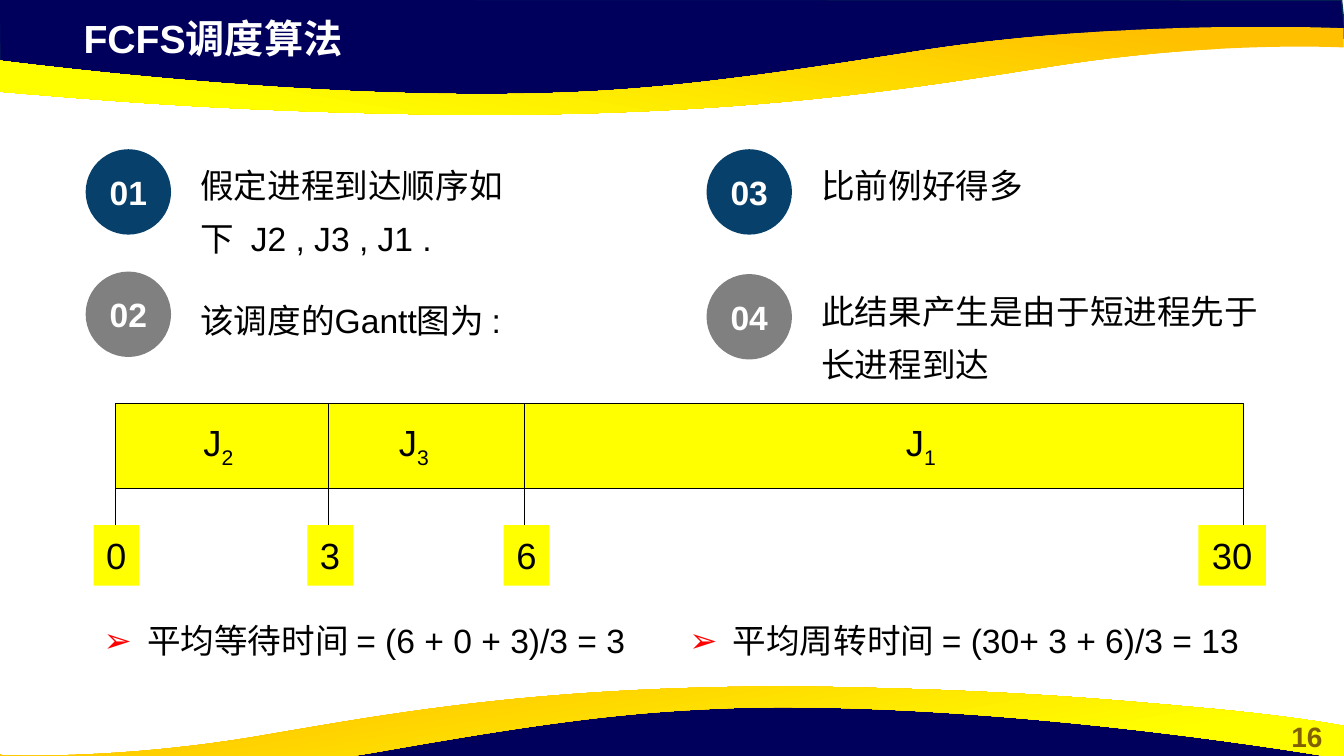
from lxml.etree import SubElement
from pptx import Presentation
from pptx.dml.color import RGBColor
from pptx.enum.shapes import MSO_CONNECTOR, MSO_SHAPE
from pptx.enum.text import MSO_ANCHOR, PP_ALIGN
from pptx.oxml.ns import qn
from pptx.util import Pt

COLORS = {
    "navy": "00005C", "band edge": "05304F", "orange": "FFC000", "yellow": "FFFF00",
    "blue": "07416B", "gray": "808080", "white": "FFFFFF", "black": "000000",
    "red": "FF0000", "page": "806000",
}

BANDS = [
    [(-0.7, -0.7), (0, 50.4), (211, 73.4), (402.5, 72), (572.4, 63.4),
     (731.5, 36), (891.4, 23.8), (961.2, 27.4), (958.3, 0)],
    [(959.8, 571.7), (959, 521.3), (748.8, 497.5), (556.6, 499), (387.4, 508.3),
     (228.2, 535), (68.4, 547.2), (-2.2, 544.3), (0.7, 571)],
]
WAVES = [
    (260, (-95.8, 18.7, 1055.6, 63.4),
     [(347.8, 82.1), (319, 82.1, 288.7, 81.4, 256.3, 80.6),
      (148.3, 77.8, 79.2, 72, 25.9, 67.7), (-63.4, 60.5, -93.6, 54, -95.8, 54),
      (-95.8, 30.2, -95.8, 30.2, -95.8, 30.2), (-95.8, 30.2, 157, 70.6, 372.2, 67),
      (450.7, 65.5, 509.8, 59.8, 658.8, 36), (807.1, 13, 959.8, 20.2, 959.8, 20.2),
      (959.8, 23), (959.8, 33.8), (957.6, 33.8), (939.6, 33.1, 860.4, 31, 759.6, 46.1),
      (661, 61.2, 548.6, 81.4, 347.8, 82.1)]),
    (280, (-0.7, 490.3, 960.5, 63.4),
     [(555.8, 490.3), (582.5, 490.3, 609.8, 491, 639.4, 491.8),
      (738, 494.6, 800.6, 500.4, 848.9, 504.7), (930.2, 511.9, 957.6, 518.4, 959.8, 518.4),
      (959.8, 542.2, 959.8, 542.2, 959.8, 542.2), (959.8, 542.2, 730.1, 501.8, 534.2, 505.4),
      (462.2, 507.6, 408.2, 512.6, 273.6, 536.4), (138.2, 560.2, -0.7, 553, -0.7, 553),
      (-0.7, 550), (-0.7, 538.6), (1.4, 539.3), (18, 540, 90, 541.4, 181.4, 526.3),
      (270.7, 511.2, 373.7, 491, 555.8, 490.3)]),
]
TITLE = ("FCFS调度算法", (52.6, 6.5, 553, 41))
PAGE_NUMBER = ("16", (907.2, 510.5, 52.6, 31.7))
ARRIVAL_ORDER = [(" ", {"spc": "670"}), ("J2 , J3 , J1 .", {})]
POINTS = [
    ("01", "blue", (61.2, 106.6), "假定进程到达顺序如下", ARRIVAL_ORDER, (136, 104.8, 244, 79.2)),
    ("02", "gray", (61.2, 194), "该调度的Gantt图为 :", [], (136, 201.6, 404, 61.2)),
    ("03", "blue", (504.7, 106.6), "比前例好得多", [], (579.6, 104.8, 244, 79.2)),
    ("04", "gray", (504.7, 195.8), "此结果产生是由于短进程先于长进程到达", [],
     (579.6, 195.1, 345, 61.2)),
]
AVERAGES = [
    ("平均等待时间 = (6 + 0 + 3)/3 = 3", (67, 442.8, 433.4, 35.3)),
    ("平均周转时间 = (30+ 3 + 6)/3 = 13", (485.3, 442.8, 433.4, 43.2)),
]
JOBS = [("1", 657.7), ("3", 295.6), ("2", 155.9)]
TICKS = [(888.5, 348.5, 384.5), (82.8, 348.5, 384.5), (374.4, 288, 357.8),
         (234.7, 288, 357.8), (374.4, 357.8, 384.5), (234.7, 357.8, 384.5)]
TIMES = [("6", 376, 32.4), ("3", 235.8, 32.4), ("30", 880.2, 48.2), ("0", 83, 32.4)]
BAR = (82.8, 288, 805.7, 61)
JOB_TOP, JOB_WIDTH, TIME_TOP, LABEL_HEIGHT, BADGE = 295.9, 41, 375.1, 43.2, 61


def color(name):
    return RGBColor.from_string(COLORS[name])


def style(shape, fill, edge=None, width=0.75):
    shape.shadow.inherit = False
    shape.fill.solid()
    shape.fill.fore_color.rgb = color(fill)
    if edge:
        shape.line.color.rgb = color(edge)
        shape.line.width = Pt(width)
    else:
        shape.line.fill.background()


def write(shape, text, size, ink="black", bold=False, align=PP_ALIGN.LEFT, wrap=True,
          extras=(), spacing=None, bullet=None):
    frame = shape.text_frame
    frame.text = text
    frame.word_wrap = wrap
    paragraph = frame.paragraphs[0]
    paragraph.alignment = align
    for extra, settings in extras:
        run = paragraph.add_run()
        run.text = extra
        for key, value in settings.items():
            run.font._element.set(key, value)
    if spacing:
        paragraph.line_spacing = spacing
    if bullet:
        properties = paragraph._p.get_or_add_pPr()
        properties.set("marL", str(Pt(31)))
        properties.set("indent", str(-Pt(31)))
        bullet_color = SubElement(properties, qn("a:buClr"))
        SubElement(bullet_color, qn("a:srgbClr")).set("val", COLORS["red"])
        SubElement(properties, qn("a:buFont")).set("typeface", "Arial")
        SubElement(properties, qn("a:buChar")).set("char", bullet)
    for run in paragraph.runs:
        run.font.name = "Arial"
        run.font.size = Pt(size)
        run.font.bold = bold
        run.font.color.rgb = color(ink)


def add_text(slide, text, area, size, **options):
    write(slide.shapes.add_textbox(*map(Pt, area)), text, size, **options)


def add_block(slide, kind, area, fill, edge=None):
    block = slide.shapes.add_shape(kind, *map(Pt, area))
    style(block, fill, edge)
    block.text_frame.vertical_anchor = MSO_ANCHOR.MIDDLE
    return block


def add_outline(slide, corners):
    start, *rest = [(Pt(x), Pt(y)) for x, y in corners]
    builder = slide.shapes.build_freeform(*start, scale=1.0)
    builder.add_line_segments(rest, close=True)
    return builder.convert_to_shape()


def add_curve(slide, area, segments):
    curve = add_outline(slide, [segment[-2:] for segment in segments])
    left, top, width, height = area
    curve.left, curve.top, curve.width, curve.height = map(Pt, area)
    outline = curve._element.spPr.find(".//" + qn("a:path"))
    for step in list(outline):
        outline.remove(step)
    outline.set("w", str(Pt(width)))
    outline.set("h", str(Pt(height)))
    for index, segment in enumerate(segments):
        kind = "moveTo" if index == 0 else "lnTo" if len(segment) == 2 else "cubicBezTo"
        step = SubElement(outline, qn("a:" + kind))
        for x, y in zip(segment[::2], segment[1::2]):
            corner = SubElement(step, qn("a:pt"))
            corner.set("x", str(Pt(x - left)))
            corner.set("y", str(Pt(y - top)))
    SubElement(outline, qn("a:close"))
    return curve


def add_waves(slide):
    for band, (angle, area, segments) in zip(BANDS, WAVES):
        style(add_outline(slide, band), "navy", "band edge", 1)
        wave = add_curve(slide, area, segments)
        style(wave, "orange")
        wave.fill.gradient()
        wave.fill.gradient_angle = angle
        for stop, (position, name) in zip(wave.fill.gradient_stops,
                                          [(0.11, "orange"), (0.78, "yellow")]):
            stop.position = position
            stop.color.rgb = color(name)


def add_label(slide, text, center, top, width, extras=()):
    label = add_block(slide, MSO_SHAPE.RECTANGLE,
                      (center - width / 2, top, width, LABEL_HEIGHT), "yellow")
    write(label, text, 26, align=PP_ALIGN.CENTER, wrap=False, extras=extras)


def add_gantt(slide):
    add_block(slide, MSO_SHAPE.RECTANGLE, BAR, "yellow", "black")
    for job, center in JOBS:
        add_label(slide, "J", center, JOB_TOP, JOB_WIDTH, [(job, {"baseline": "-25000"})])
    for x, top, bottom in TICKS:
        tick = slide.shapes.add_connector(MSO_CONNECTOR.STRAIGHT, Pt(x), Pt(top),
                                          Pt(x), Pt(bottom))
        tick.line.color.rgb = color("black")
        tick.line.width = Pt(0.75)
        SubElement(tick._element.spPr, qn("a:effectLst"))
    for time, center, width in TIMES:
        add_label(slide, time, center, TIME_TOP, width)


def main():
    """Build the FCFS scheduling slide."""
    deck = Presentation()
    deck.slide_width, deck.slide_height = Pt(960), Pt(540)
    slide = deck.slides.add_slide(deck.slide_layouts[6])
    add_waves(slide)
    add_text(slide, *PAGE_NUMBER, 20, ink="page", bold=True, align=PP_ALIGN.CENTER)
    add_text(slide, *TITLE, 28, ink="white", bold=True)
    for number, fill, corner, text, extras, area in POINTS:
        badge = add_block(slide, MSO_SHAPE.OVAL, (*corner, BADGE, BADGE), fill)
        write(badge, number, 24, ink="white", bold=True, align=PP_ALIGN.CENTER)
        add_text(slide, text, area, 24, spacing=1.32, extras=extras)
    add_gantt(slide)
    for text, area in AVERAGES:
        add_text(slide, text, area, 24, spacing=0.9, bullet="➢")
    deck.save("out.pptx")


if __name__ == "__main__":
    main()
